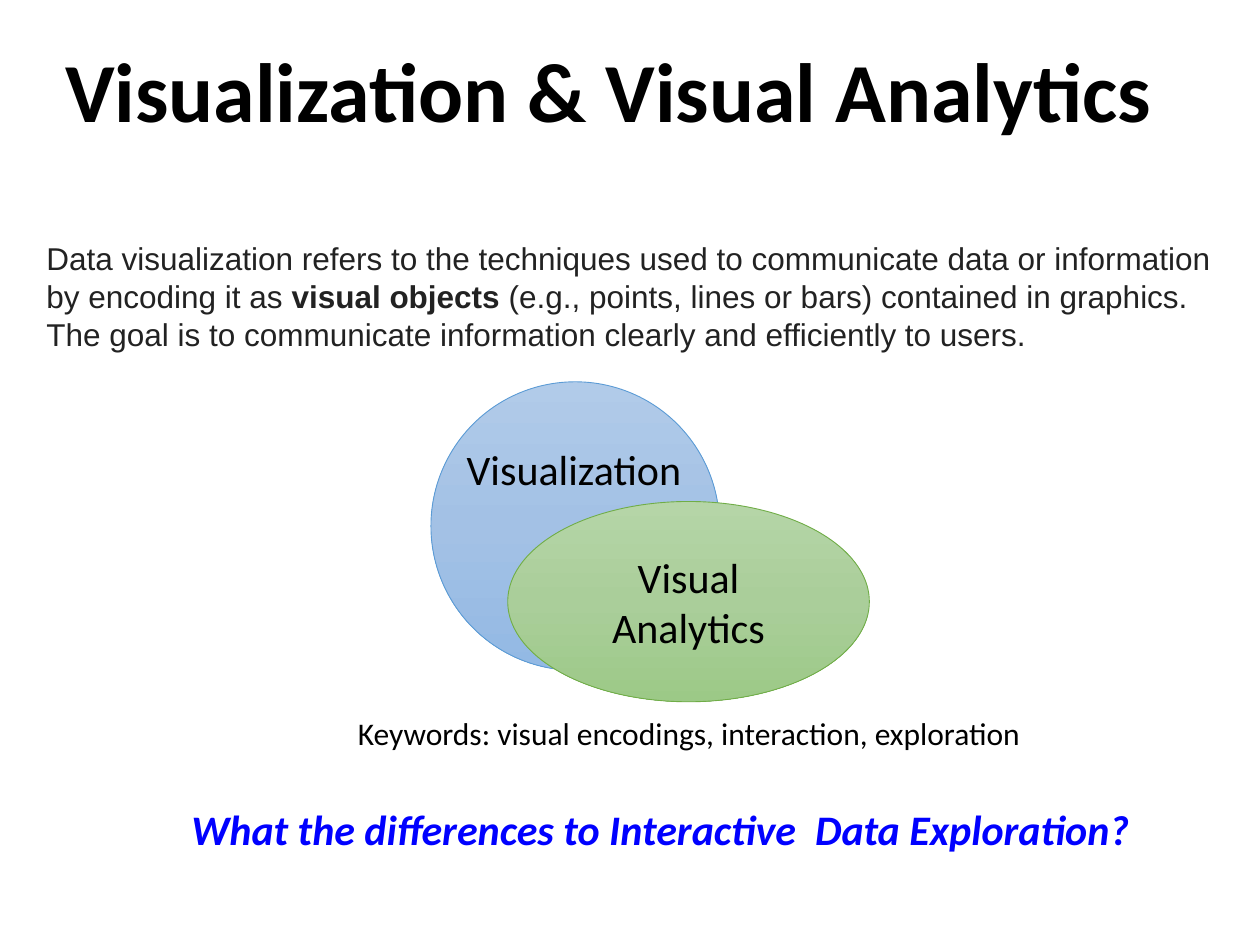
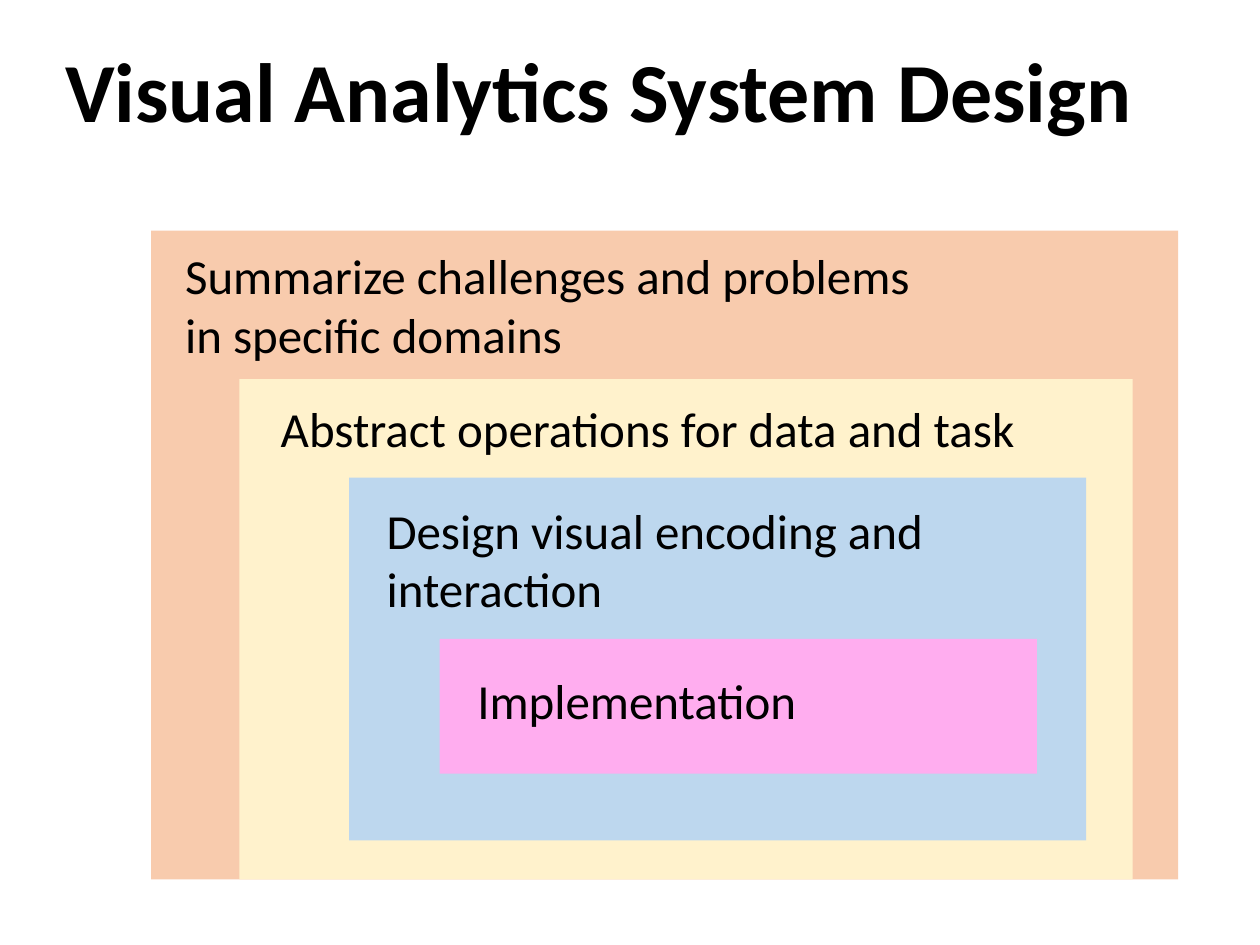
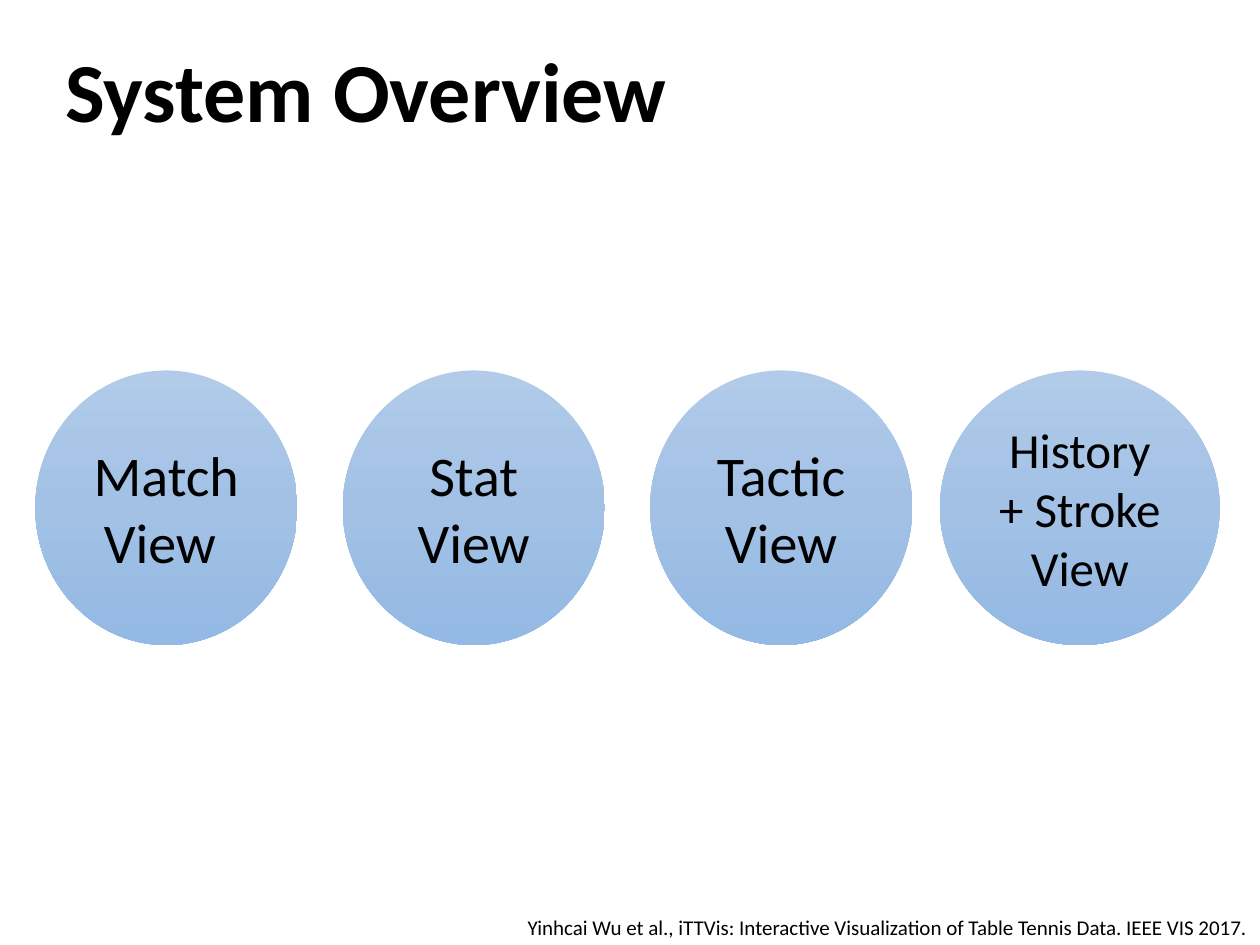
import copy

import pptx
import pptx.dml.color
import pptx.enum.shapes
import pptx.enum.text
import pptx.oxml.ns
import pptx.util

Inches = pptx.util.Inches
Pt = pptx.util.Pt
RGBColor = pptx.dml.color.RGBColor
SHAPE = pptx.enum.shapes.MSO_SHAPE
ALIGN = pptx.enum.text.PP_ALIGN
ANCHOR = pptx.enum.text.MSO_ANCHOR
AUTO_SIZE = pptx.enum.text.MSO_AUTO_SIZE

COLORS = {
    "text": "000000",
    "definition": "222222",
    "question": "0000FF",
    "blue_line": "5B9BD5",
    "green_line": "70AD47",
    "domain": "F8CBAD",
    "abstraction": "FFF2CC",
    "encoding": "BDD7EE",
    "implementation": "FFADEF",
}
GRADIENTS = {
    "blue": ("B1CBE9", "A3C1E5", "93B9E4"),
    "green": ("B5D5A7", "AACE9A", "9CC987"),
}
TITLE_BOX = (0.42, 0.2, 9.26, 1.12)

DEFINITION = [
    ("Data visualization refers to the techniques used to communicate data or "
     "information by encoding it as ", False),
    ("visual objects ", True),
    ("(e.g., points, lines or bars) contained in graphics. The goal is to "
     "communicate information clearly and efficiently to users.", False),
]
DESIGN_LEVELS = [
    ("domain", (1.2, 1.83, 8.15, 5.15),
     "Summarize challenges and problems \nin specific domains", (1.37, 1.9, 7.89, 1.04), True),
    ("abstraction", (1.9, 3.01, 7.09, 3.97),
     "Abstract operations for data and task", (2.13, 3.11, 6.1, 0.57), False),
    ("encoding", (2.77, 3.79, 5.85, 2.88),
     "Design visual encoding and interaction", (2.97, 3.92, 5.26, 1.04), True),
    ("implementation", (3.49, 5.07, 4.74, 1.07),
     "Implementation", (3.69, 5.27, 2.76, 0.57), False),
]
VIEWS = ["Match View ", "Stat View", "Tactic View"]
VIEW_LEFT, VIEW_STEP, VIEW_TOP, VIEW_WIDTH, VIEW_HEIGHT = 0.28, 2.44, 2.94, 2.08, 2.18
CITATION = ("Yinhcai Wu et al., iTTVis: Interactive Visualization of Table Tennis Data. "
            "IEEE VIS 2017.")


def inches(box):
    return [Inches(value) for value in box]


def rgb(name):
    return RGBColor.from_string(COLORS[name])


def write(shape, text, size=24, font="Calibri", color="text", bold=False, italic=False,
          align=ALIGN.LEFT, anchor=ANCHOR.TOP, wrap=True, spacing=None):
    frame = shape.text_frame
    frame.word_wrap = wrap
    frame.vertical_anchor = anchor
    paragraph = frame.paragraphs[0]
    paragraph.alignment = align
    if spacing:
        paragraph.line_spacing = spacing
    runs = [(text, bold)] if isinstance(text, str) else text
    for run_text, run_bold in runs:
        for index, line in enumerate(run_text.split("\n")):
            if index:
                paragraph.add_line_break()
            run = paragraph.add_run()
            run.text = line
            run.font.name = font
            run.font.size = Pt(size)
            run.font.bold = run_bold
            run.font.italic = italic
            run.font.color.rgb = rgb(color)


def add_text(shapes, box, text, grow=True, **text_format):
    shape = shapes.add_textbox(*inches(box))
    write(shape, text, **text_format)
    if grow:
        shape.text_frame.auto_size = AUTO_SIZE.SHAPE_TO_FIT_TEXT


def add_plain_shape(shapes, kind, box, line=None):
    shape = shapes.add_shape(kind, *inches(box))
    shape.shadow.inherit = False
    if line:
        shape.line.color.rgb = rgb(line)
        shape.line.width = Pt(0.5)
    else:
        shape.line.fill.background()
    return shape


def add_ellipse(shapes, box, gradient, line=None, text=None, size=24):
    shape = add_plain_shape(shapes, SHAPE.OVAL, box, line)
    shape.fill.gradient()
    shape.fill.gradient_angle = 270
    stop_list = shape.element.spPr.find(".//" + pptx.oxml.ns.qn("a:gsLst"))
    stop_list.append(copy.deepcopy(stop_list[0]))
    for index, (stop, color) in enumerate(zip(shape.fill.gradient_stops, GRADIENTS[gradient])):
        stop.position = index / 2
        stop.color.rgb = RGBColor.from_string(color)
    if text:
        write(shape, text, size=size, align=ALIGN.CENTER, anchor=ANCHOR.MIDDLE)


def add_slide(presentation, title):
    slide = presentation.slides.add_slide(presentation.slide_layouts[6])
    add_text(slide.shapes, TITLE_BOX, title, grow=False, size=48, bold=True,
             anchor=ANCHOR.MIDDLE, spacing=0.9)
    return slide.shapes


def build_definition_slide(presentation):
    shapes = add_slide(presentation, "Visualization & Visual Analytics")
    circle = shapes.add_group_shape().shapes
    add_ellipse(circle, (3.42, 3.03, 2.29, 2.29), "blue", "blue_line")
    add_text(circle, (3.53, 3.47, 2.05, 0.5), "Visualization", align=ALIGN.CENTER)
    add_ellipse(shapes, (4.03, 3.98, 2.87, 1.59), "green", "green_line", "Visual Analytics")
    add_text(shapes, (0.27, 1.85, 9.56, 1.01), DEFINITION, size=18, font="Arial",
             color="definition")
    add_text(shapes, (0.69, 5.62, 9.56, 0.4),
             "Keywords: visual encodings, interaction, exploration", size=18, align=ALIGN.CENTER)
    add_text(shapes, (1.42, 6.33, 8.12, 0.5),
             "What the differences to Interactive  Data Exploration?",
             color="question", bold=True, italic=True)


def build_design_slide(presentation):
    shapes = add_slide(presentation, "Visual Analytics System Design")
    nest = shapes.add_group_shape().shapes
    for color, box, *label in DESIGN_LEVELS:
        shape = add_plain_shape(nest, SHAPE.RECTANGLE, box)
        shape.fill.solid()
        shape.fill.fore_color.rgb = rgb(color)
    for color, box, text, text_box, wrap in DESIGN_LEVELS:
        add_text(nest, text_box, text, size=28, wrap=wrap)


def build_overview_slide(presentation):
    shapes = add_slide(presentation, "System Overview")
    add_text(shapes, (-0.02, 7.21, 10.02, 0.3), CITATION, size=12, align=ALIGN.RIGHT)
    for index, view in enumerate(VIEWS):
        left = VIEW_LEFT + index * VIEW_STEP
        add_ellipse(shapes, (left, VIEW_TOP, VIEW_WIDTH, VIEW_HEIGHT), "blue",
                    text=view, size=32)
    add_ellipse(shapes, (7.46, VIEW_TOP, 2.22, VIEW_HEIGHT), "blue",
                text="History + Stroke View", size=28)


def main():
    presentation = pptx.Presentation()
    presentation.slide_width = Inches(10)
    presentation.slide_height = Inches(7.5)
    build_definition_slide(presentation)
    build_design_slide(presentation)
    build_overview_slide(presentation)
    presentation.save("out.pptx")


if __name__ == "__main__":
    main()
